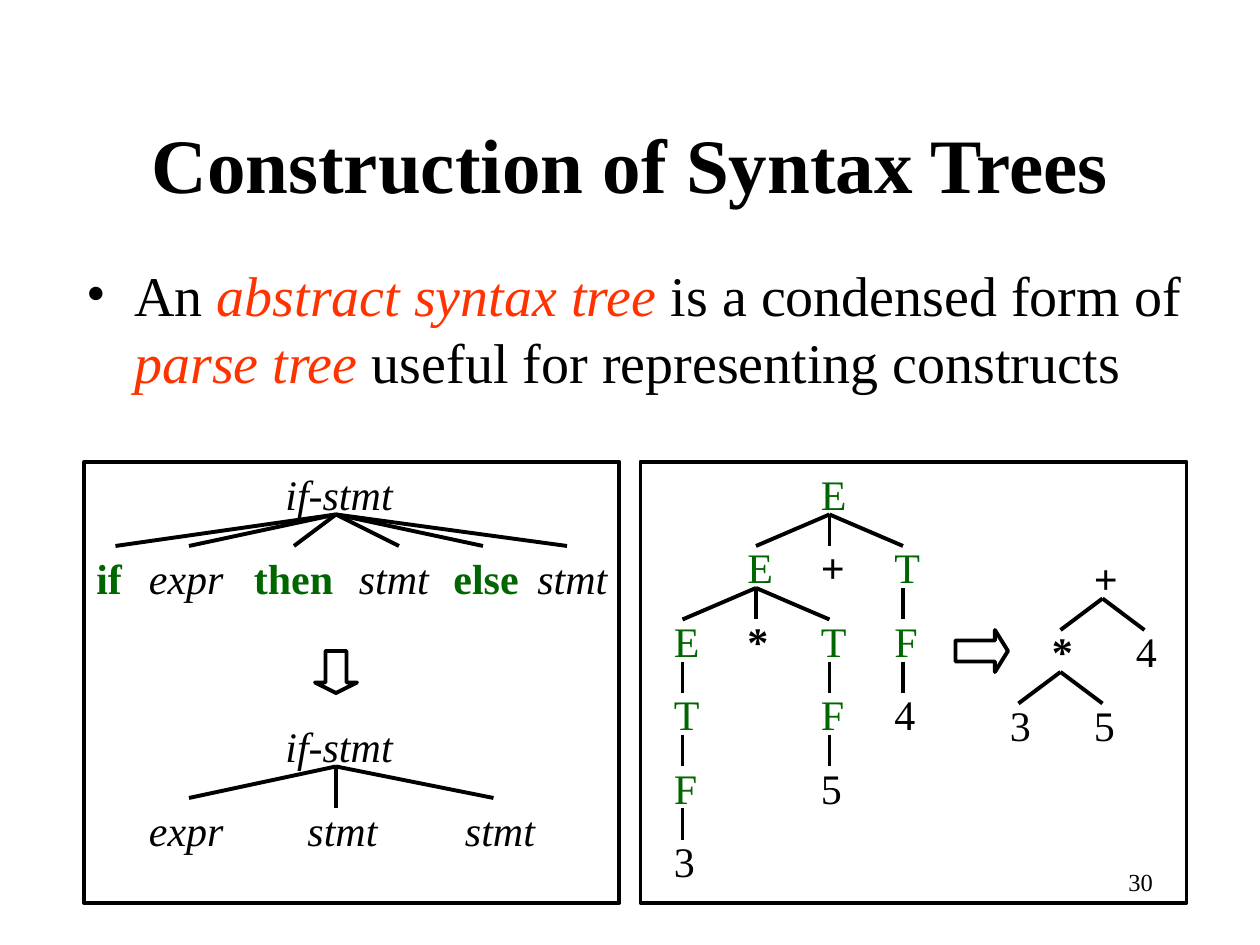
from lxml.etree import SubElement
from pptx import Presentation
from pptx.dml.color import RGBColor
from pptx.enum.shapes import MSO_CONNECTOR, MSO_SHAPE
from pptx.enum.text import MSO_ANCHOR, MSO_AUTO_SIZE, PP_ALIGN
from pptx.oxml.ns import qn
from pptx.util import Pt

EMU_PER_PX = 7620
BLACK = RGBColor(0x00, 0x00, 0x00)
GREEN = RGBColor(0x00, 0x66, 0x00)
RED = RGBColor(0xFF, 0x33, 0x00)

PLAIN = (BLACK, False, False)
BOLD = (BLACK, True, False)
ITALIC = (BLACK, False, True)
SYMBOL = (GREEN, False, False)
KEYWORD = (GREEN, True, False)
TERM = (RED, False, True)

LABELS = {
    "if-stmt": (128, ITALIC), "expr": (97, ITALIC), "stmt": (92, ITALIC),
    "if": (50, KEYWORD), "then": (101, KEYWORD), "else": (88, KEYWORD),
    "E": (50, SYMBOL), "T": (50, SYMBOL), "F": (48, SYMBOL),
    "+": (48, BOLD), "*": (45, BOLD),
    "3": (45, PLAIN), "4": (45, PLAIN), "5": (45, PLAIN),
}
LEVEL_HEIGHT = 70


def px(length):
    return length * EMU_PER_PX


class SlideBuilder:
    font_name = "Times New Roman"
    line_width = Pt(2.25)

    def __init__(self, slide):
        self.slide = slide

    def text(self, left, top, width, height, runs, size,
             align=PP_ALIGN.LEFT, anchor=MSO_ANCHOR.TOP, wrap=True):
        box = self.slide.shapes.add_textbox(px(left), px(top), px(width), px(height))
        frame = box.text_frame
        frame.word_wrap = wrap
        frame.auto_size = MSO_AUTO_SIZE.NONE if wrap else MSO_AUTO_SIZE.SHAPE_TO_FIT_TEXT
        frame.vertical_anchor = anchor
        paragraph = frame.paragraphs[0]
        paragraph.alignment = align
        for words, (color, bold, italic) in runs:
            run = paragraph.add_run()
            run.text = words
            run.font.name = self.font_name
            run.font.size = Pt(size)
            run.font.color.rgb = color
            run.font.bold = bold
            run.font.italic = italic
        return paragraph

    def bullet(self, left, top, width, height, runs, size, indent):
        properties = self.text(left, top, width, height, runs, size)._p.get_or_add_pPr()
        properties.set("marL", str(px(indent)))
        properties.set("indent", str(-px(indent)))
        SubElement(properties, qn("a:buFont")).set("typeface", self.font_name)
        SubElement(properties, qn("a:buChar")).set("char", "•")

    def label(self, name, left, top):
        width, style = LABELS[name]
        self.text(left, top, width, 60, [(name, style)], 24, wrap=False)

    def branch(self, start_x, start_y, end_x, end_y):
        line = self.slide.shapes.add_connector(
            MSO_CONNECTOR.STRAIGHT, px(start_x), px(start_y), px(end_x), px(end_y))
        line.line.color.rgb = BLACK
        line.line.width = self.line_width
        SubElement(line._element.spPr, qn("a:effectLst"))

    def outline(self, kind, left, top, width, height, adjustments=()):
        shape = self.slide.shapes.add_shape(kind, px(left), px(top), px(width), px(height))
        for index, value in enumerate(adjustments):
            shape.adjustments[index] = value
        shape.shadow.inherit = False
        shape.fill.background()
        shape.line.color.rgb = BLACK
        shape.line.width = self.line_width

    def tree(self, node, top):
        name, left, *children = node
        self.label(name, left, top)
        for child in children:
            self.branch(left + 20, top + 50, child[1] + 20, top + LEVEL_HEIGHT + 10)
            self.tree(child, top + LEVEL_HEIGHT)

    def statement(self, top, children):
        self.label("if-stmt", 260, top)
        for name, left, end_x, end_drop in children:
            self.label(name, left, top + 80)
            self.branch(320, top + 50, end_x, top + end_drop)


def main():
    presentation = Presentation()
    presentation.slide_width = px(1200)
    presentation.slide_height = px(900)
    builder = SlideBuilder(presentation.slides.add_slide(presentation.slide_layouts[6]))

    builder.text(90, 80, 1020, 150, [("Construction of Syntax Trees", BOLD)], 44,
                 PP_ALIGN.CENTER, MSO_ANCHOR.MIDDLE)
    builder.bullet(71, 242, 1079, 161, [
        ("An ", PLAIN),
        ("abstract syntax tree", TERM),
        (" is a condensed form of ", PLAIN),
        ("parse tree", TERM),
        (" useful for representing constructs", PLAIN),
    ], 32, 45)

    builder.statement(440, [
        ("if", 80, 110, 80), ("expr", 130, 180, 80), ("then", 230, 280, 80),
        ("stmt", 330, 380, 80), ("else", 420, 460, 80), ("stmt", 500, 540, 80),
    ])
    builder.statement(680, [
        ("expr", 130, 180, 80), ("stmt", 281, 320, 90), ("stmt", 431, 470, 80),
    ])

    left_factor = ("E", 630, ("T", 630, ("F", 630, ("3", 630))))
    right_factor = ("T", 770, ("F", 770, ("5", 770)))
    product = ("E", 700, left_factor, ("*", 700), right_factor)
    addend = ("T", 840, ("F", 840, ("4", 840)))
    builder.tree(("E", 770, product, ("+", 770), addend), 440)
    builder.tree(("+", 1030, ("*", 990, ("3", 950), ("5", 1030)), ("4", 1070)), 520)

    builder.outline(MSO_SHAPE.DOWN_ARROW, 300, 620, 40, 40, (0.5, 0.25))
    builder.outline(MSO_SHAPE.RIGHT_ARROW, 910, 600, 50, 40, (0.5, 0.31))
    builder.outline(MSO_SHAPE.RECTANGLE, 80, 440, 510, 420)
    builder.outline(MSO_SHAPE.RECTANGLE, 610, 440, 520, 420)
    builder.text(860, 820, 250, 60, [("30", PLAIN)], 14, PP_ALIGN.RIGHT)

    presentation.save("out.pptx")


if __name__ == "__main__":
    main()
